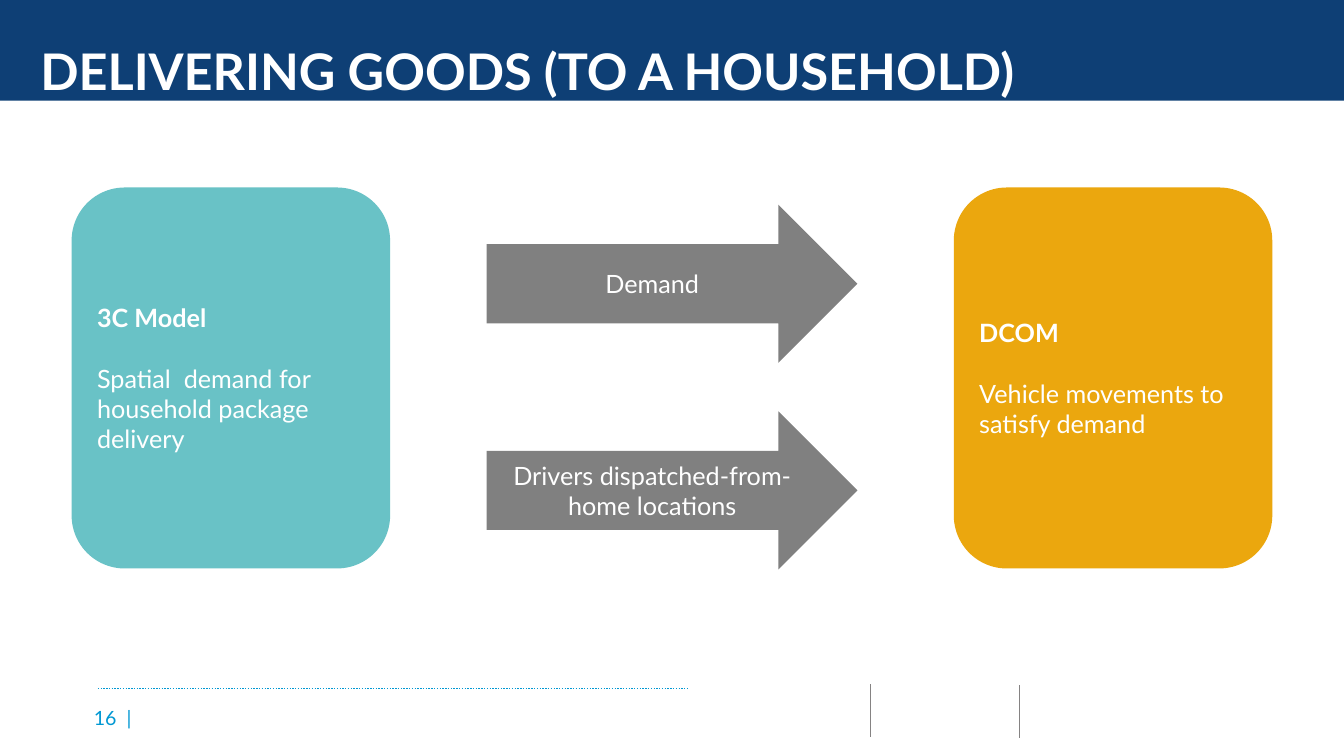
import pptx
import pptx.util
import pptx.dml.color
import pptx.enum.dml
import pptx.enum.shapes
import pptx.enum.text
import pptx.oxml.ns
import lxml.etree

SHAPES = pptx.enum.shapes.MSO_SHAPE
ALIGN = pptx.enum.text.PP_ALIGN
ANCHOR = pptx.enum.text.MSO_ANCHOR
DASH = pptx.enum.dml.MSO_LINE

COLORS = {
    "navy": "0E3F75",
    "teal": "69C2C6",
    "amber": "EBA70E",
    "arrow": "808080",
    "divider": "858383",
    "accent": "0098D3",
    "white": "FFFFFF",
}


class FlowSlide:
    font = "Lato"
    body_size = 18

    def __init__(self, deck):
        self.column = deck.slide_width / 100
        self.row = deck.slide_height / 100
        self.slide = deck.slides.add_slide(deck.slide_layouts[5])

    def color(self, name):
        return pptx.dml.color.RGBColor.from_string(COLORS[name])

    def place(self, columns, rows):
        return round(columns * self.column), round(rows * self.row)

    def add_words(self, paragraph, words, size, color="white", bold=False):
        run = paragraph.add_run()
        run.text = words
        run.font.name = self.font
        run.font.size = pptx.util.Pt(size)
        run.font.bold = bold
        run.font.color.rgb = self.color(color)

    def insets(self, frame, left, top, right, bottom):
        frame.margin_left = pptx.util.Inches(left)
        frame.margin_top = pptx.util.Inches(top)
        frame.margin_right = pptx.util.Inches(right)
        frame.margin_bottom = pptx.util.Inches(bottom)

    def heading(self, words, height):
        banner = self.slide.shapes.title
        banner.left, banner.top = 0, 0
        banner.width, banner.height = self.place(100, height)
        banner.fill.solid()
        banner.fill.fore_color.rgb = self.color("navy")
        frame = banner.text_frame
        frame.auto_size = pptx.enum.text.MSO_AUTO_SIZE.NONE
        frame.vertical_anchor = ANCHOR.BOTTOM
        self.insets(frame, 0.4, 0.1, 0.4, 0)
        frame.paragraphs[0].alignment = ALIGN.LEFT
        self.add_words(frame.paragraphs[0], words, 36, bold=True)

    def block(self, preset, left, top, width, height, fill):
        block = self.slide.shapes.add_shape(
            preset, *self.place(left, top), *self.place(width, height))
        block.shadow.inherit = False
        block.fill.solid()
        block.fill.fore_color.rgb = self.color(fill)
        block.line.fill.background()
        block.text_frame.word_wrap = True
        block.text_frame.vertical_anchor = ANCHOR.MIDDLE
        return block.text_frame

    def model(self, left, fill, name, role):
        frame = self.block(SHAPES.ROUNDED_RECTANGLE, left, 24.8, 23.7, 50.4, fill)
        label = frame.paragraphs[0]
        label.alignment = ALIGN.LEFT
        self.add_words(label, name, self.body_size, bold=True)
        detail = frame.add_paragraph()
        detail.alignment = ALIGN.LEFT
        detail.space_before = pptx.util.Pt(self.body_size * 1.2)
        self.add_words(detail, role, self.body_size)

    def flow(self, top, words):
        frame = self.block(SHAPES.RIGHT_ARROW, 36.2, top, 27.6, 20.93, "arrow")
        frame.paragraphs[0].alignment = ALIGN.CENTER
        self.add_words(frame.paragraphs[0], words, self.body_size)

    def rule(self, start, end, color, weight, dash=None):
        rule = self.slide.shapes.add_connector(
            pptx.enum.shapes.MSO_CONNECTOR.STRAIGHT,
            *self.place(*start), *self.place(*end))
        rule.line.color.rgb = self.color(color)
        rule.line.width = pptx.util.Pt(weight)
        if dash:
            rule.line.dash_style = dash
        lxml.etree.SubElement(
            rule._element.spPr, pptx.oxml.ns.qn("a:effectLst"))

    def page_number(self, words):
        frame = self.slide.shapes.add_textbox(
            *self.place(6.98, 92.27), *self.place(3.9, 5.33)).text_frame
        frame.word_wrap = False
        frame.vertical_anchor = ANCHOR.MIDDLE
        self.insets(frame, 0, 0, 0, 0)
        self.add_words(frame.paragraphs[0], words, 14, "accent")


def main():
    deck = pptx.Presentation()
    deck.slide_width = pptx.util.Inches(13.33)
    deck.slide_height = pptx.util.Inches(7.5)
    delivery = FlowSlide(deck)

    delivery.page_number("16  |")
    delivery.rule((7.28, 91.07), (51.23, 91.07), "accent", 1, DASH.ROUND_DOT)
    for column, top in ((75.83, 90.67), (64.8, 90.53)):
        delivery.rule((column, top), (column, top + 6.93), "divider", 0.75)

    delivery.heading("DELIVERING GOODS (TO A HOUSEHOLD)", 13.33)
    models = (
        (5.33, "teal", "3C Model", "Spatial  demand for household package delivery"),
        (70.97, "amber", "DCOM", "Vehicle movements to satisfy demand"),
    )
    for model in models:
        delivery.model(*model)
    flows = ("Demand", "Drivers dispatched-from-home locations")
    for order, words in enumerate(flows):
        delivery.flow(27.07 + order * 27.33, words)

    deck.save("out.pptx")


if __name__ == "__main__":
    main()
